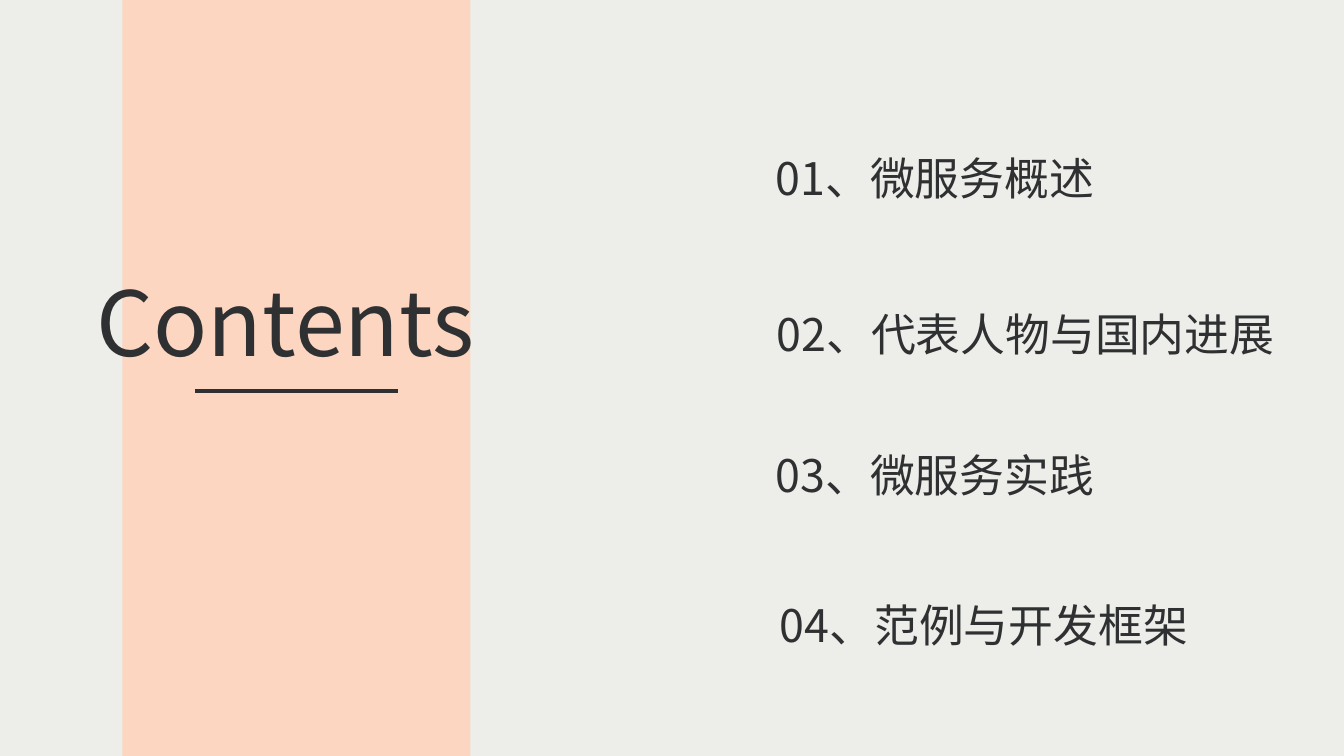
from lxml import etree
from pptx import Presentation
from pptx.dml.color import RGBColor
from pptx.enum.shapes import MSO_CONNECTOR as CONN, MSO_SHAPE as SHAPE
from pptx.enum.text import MSO_AUTO_SIZE as FIT, PP_ALIGN as ALIGN
from pptx.oxml.ns import qn
from pptx.util import Inches, Pt

WIDTH = 10
HEIGHT = WIDTH * 9 / 16
FONT = "Noto Sans CJK SC"
INK, PAPER, PEACH = "2E3032", "EDEEE9", "FCD6C1"
ENTRY_LEFT = 5.66 / WIDTH
ENTRIES = [
    ("01、微服务概述", 1.07, 2.59),
    ("02、代表人物与国内进展", 2.23, 3.94),
    ("03、微服务实践", 3.28, 2.59),
    ("04、范例与开发框架", 4.4, 3.32),
]


def color(value):
    """Turn a hex string into a colour."""
    return RGBColor.from_string(value)


def x(share):
    """Give a share of the slide width as a length."""
    return Inches(WIDTH * share)


def y(share):
    """Give a share of the slide height as a length."""
    return Inches(HEIGHT * share)


def add_band(s, left, width):
    """Add a full-height vertical colour band."""
    sp = s.shapes.add_shape(SHAPE.RECTANGLE, x(left), 0, x(width), y(1))
    sp.shadow.inherit = False
    sp.fill.solid()
    sp.fill.fore_color.rgb = color(PEACH)
    sp.line.fill.background()


def add_text(s, text, left, top, width, height, size, align):
    """Add wrapped text in the slide font."""
    sp = s.shapes.add_textbox(x(left), y(top), x(width), y(height))
    tf = sp.text_frame
    tf.word_wrap = True
    tf.auto_size = FIT.SHAPE_TO_FIT_TEXT
    p = tf.paragraphs[0]
    p.text = text
    p.alignment = align
    r = p.runs[0]
    r.font.size = Pt(size)
    r.font.name = FONT
    r.font.color.rgb = color(INK)
    etree.SubElement(r.font._element, qn("a:ea"), typeface=FONT)


def add_rule(s, start, end, top):
    """Add the horizontal rule under the title."""
    sp = s.shapes.add_connector(CONN.STRAIGHT, x(start), y(top), x(end), y(top))
    sp.line.color.rgb = color(INK)
    sp.line.width = Pt(2.25)
    etree.SubElement(sp._element.spPr, qn("a:effectLst"))


def main():
    """Build the contents slide."""
    prs = Presentation()
    prs.slide_width, prs.slide_height = x(1), y(1)
    s = prs.slides.add_slide(prs.slide_layouts[6])
    s.background.fill.solid()
    s.background.fill.fore_color.rgb = color(PAPER)
    add_band(s, 0.091, 0.259)
    add_text(s, "Contents", 0.062, 1.94 / HEIGHT, 0.317, 0.91 / HEIGHT, 48, ALIGN.LEFT)
    for text, top, width in ENTRIES:
        add_text(s, text, ENTRY_LEFT, top / HEIGHT, width / WIDTH, 0.5 / HEIGHT, 24, ALIGN.CENTER)
    add_rule(s, 0.145, 0.296, 2.91 / HEIGHT)
    prs.save("out.pptx")


main()
